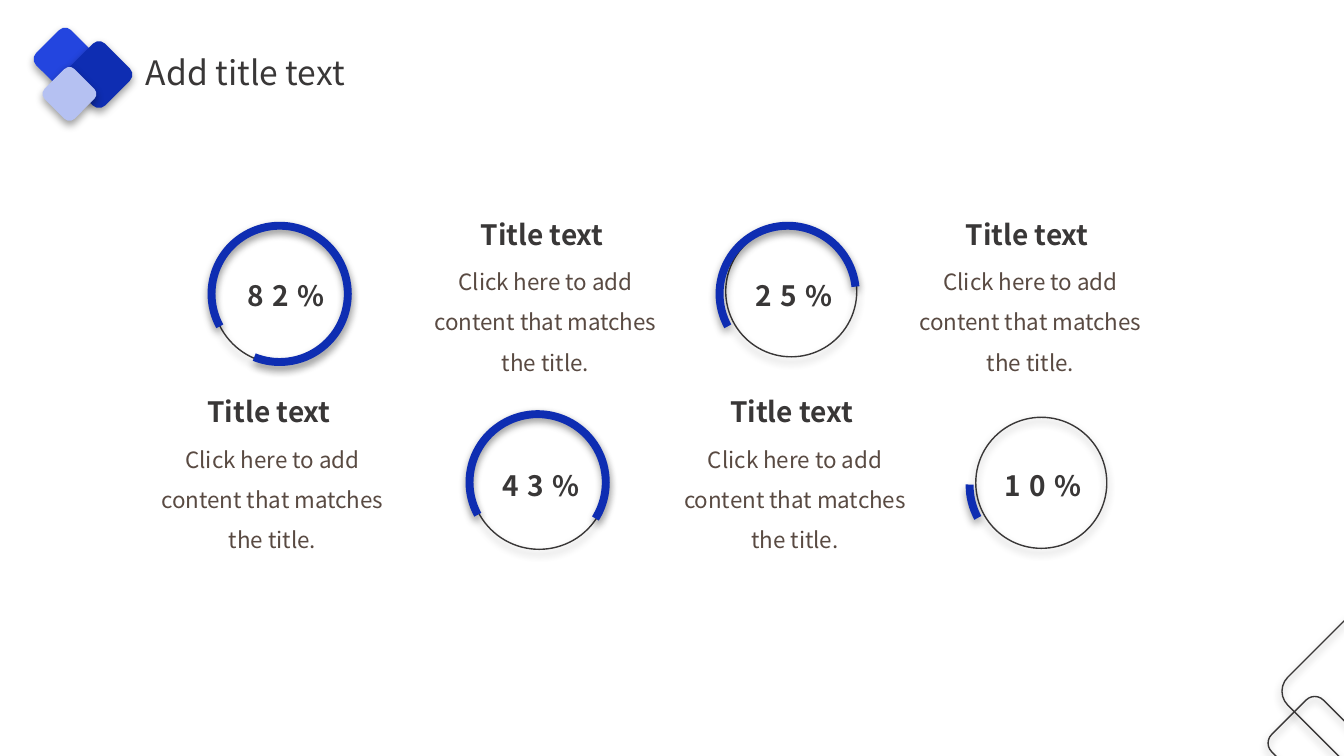
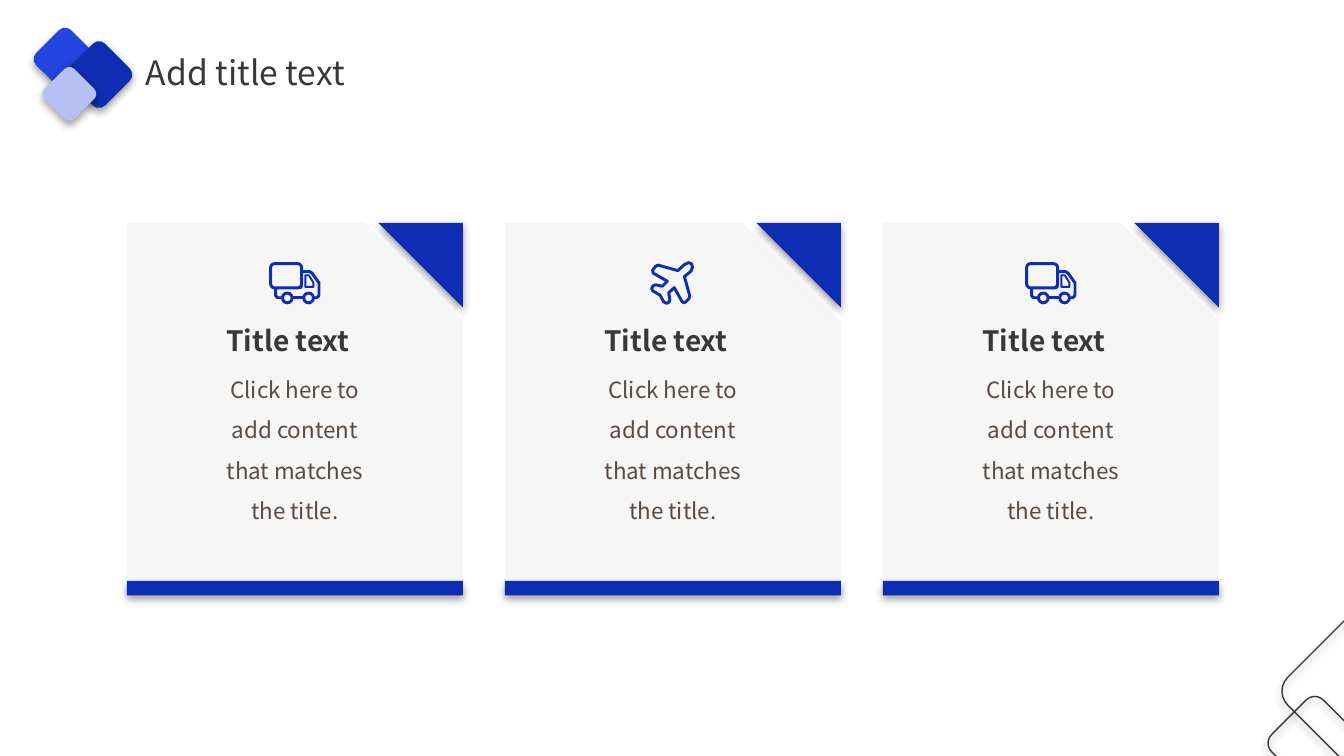
from dataclasses import dataclass

from lxml import etree
from pptx import Presentation
from pptx.dml.color import RGBColor
from pptx.enum.shapes import MSO_SHAPE as Preset
from pptx.enum.text import MSO_AUTO_SIZE as AutoSize, PP_ALIGN as Align
from pptx.oxml.ns import qn
from pptx.util import Pt


@dataclass(frozen=True)
class Theme:
    font: str = "Noto Sans CJK SC"
    blue: str = "0E2DB2"
    bright: str = "2345DF"
    pale: str = "B5C1F2"
    ink: str = "393737"
    brown: str = "594A42"
    panel: str = "F6F6F6"
    title_size: int = 24
    heading_size: int = 20
    body_size: int = 16
    outline: float = 1
    icon_stroke: float = 2.1


THEME = Theme()
HEADING = "Title text"
BODY = "Click here to add content that matches the title."


class Deck:
    """Holds the style and the current slide."""

    def __init__(self, theme):
        self.theme = theme
        self.prs = Presentation()
        self.prs.slide_width, self.prs.slide_height = Pt(960), Pt(540)
        self.shapes = None

    # Slide frame: title, badge and corner outlines
    def new_slide(self, title):
        t = self.theme
        self.shapes = self.prs.slides.add_slide(self.prs.slide_layouts[6]).shapes
        for left, top, side, color in ((28.8, 24.6, 35.3, t.bright),
                                       (52, 34.6, 37.4, t.blue),
                                       (34.5, 52, 30.2, t.pale)):
            self.shape(Preset.ROUNDED_RECTANGLE, left, top, side, side, color, rotation=45)
        self.text(title, 97.2, 33.8, 165.6, 36, t.title_size, t.ink)
        for left, top, side in ((913, 504.7, 52.2), (927.4, 451.4, 84.6)):
            self.shape(Preset.ROUNDED_RECTANGLE, left, top, side, side,
                       line=t.outline, color=t.ink, rotation=45)

    # Shapes
    def shape(self, preset, left, top, width, height, fill=None, line=0,
              color=None, rotation=0, adjust=(), shadow=True):
        item = self.shapes.add_shape(preset, Pt(left), Pt(top), Pt(width), Pt(height))
        item.rotation = rotation
        for index, value in enumerate(adjust):
            item.adjustments[index] = value
        self.paint(item, fill, line, color, shadow)

    def outline(self, points, left=0, top=0, fill=None, line=0, color=None,
                close=True, shadow=False):
        corners = [(Pt(left + x), Pt(top + y)) for x, y in points]
        builder = self.shapes.build_freeform(*corners[0], scale=1.0)
        builder.add_line_segments(corners[1:], close=close)
        self.paint(builder.convert_to_shape(), fill, line, color, shadow)

    def paint(self, item, fill, line, color, shadow):
        if fill:
            item.fill.solid()
            item.fill.fore_color.rgb = RGBColor.from_string(fill)
        else:
            item.fill.background()
        if line:
            item.line.width = Pt(line)
            item.line.color.rgb = RGBColor.from_string(color)
        else:
            item.line.fill.background()
        item.shadow.inherit = False
        if shadow:
            effects = item._element.spPr.find(qn("a:effectLst"))
            outer = etree.SubElement(effects, qn("a:outerShdw"), blurRad=str(Pt(6)),
                                     dist=str(Pt(3)), dir="5400000", algn="t",
                                     rotWithShape="0")
            black = etree.SubElement(outer, qn("a:srgbClr"), val="000000")
            etree.SubElement(black, qn("a:alpha"), val="39000")

    # Text
    def text(self, words, left, top, width, height, size, color, bold=False,
             wrap=False, align=Align.LEFT, leading=None, tracking=0):
        frame = self.shapes.add_textbox(Pt(left), Pt(top), Pt(width), Pt(height)).text_frame
        frame.word_wrap = wrap
        frame.auto_size = AutoSize.SHAPE_TO_FIT_TEXT
        para = frame.paragraphs[0]
        para.alignment, para.line_spacing = align, leading
        run = para.add_run()
        run.text = words
        font = para.font
        font.name, font.size, font.bold = self.theme.font, Pt(size), bold
        font.color.rgb = RGBColor.from_string(color)
        if tracking:
            run._r.get_or_add_rPr().set("spc", str(tracking * 100))

    def caption(self, left, top, body_left, body_top, body_width, body_height):
        t = self.theme
        self.text(HEADING, left, top, 105.1, 31.7, t.heading_size, t.ink, bold=True)
        self.text(BODY, body_left, body_top, body_width, body_height, t.body_size,
                  t.brown, wrap=True, align=Align.CENTER, leading=1.5)

    # Progress ring: thin circle, number and thick arc
    def ring(self, percent, circle, arc, label, end_angle):
        t = self.theme
        left, top, size = circle
        self.shape(Preset.OVAL, left, top, size, size, line=t.outline, color=t.ink)
        self.text(percent, *label, 76.3, 31.7, t.heading_size, t.ink, bold=True, tracking=6)
        angles = [degrees * 0.6 for degrees in (181.54, end_angle)]
        self.shape(Preset.BLOCK_ARC, *arc, 103, 103, t.blue, rotation=330,
                   adjust=(*angles, 0.055))

    # Icons, drawn from the card's top left corner
    def stroke(self, points, left, top, close=False, width=None):
        self.outline(points, left, top, line=width or self.theme.icon_stroke,
                     color=self.theme.blue, close=close)

    def truck(self, left, top):
        t = self.theme
        pen = dict(line=t.icon_stroke, color=t.blue, shadow=False)
        self.shape(Preset.ROUNDED_RECTANGLE, left + 102.6, top + 29.1, 22.2, 17.4, **pen)
        for wheel_x in (111, 126.2):
            self.shape(Preset.OVAL, left + wheel_x, top + 50.1, 7, 7, **pen)
        for part in (
            [(124.8, 34.8), (130.4, 34.8), (132.2, 35.9), (137.2, 42.9),
             (137.2, 51.2), (136.7, 52.6), (135.3, 53.5), (133.2, 53.5)],
            [(106.2, 46.5), (106.2, 51.8), (107, 53.1), (108.2, 53.5), (111, 53.5)],
            [(118, 53.5), (126.2, 53.5)],
            [(124.8, 45), (124.2, 46), (123, 46.5)],
        ):
            self.stroke(part, left, top)
        window = [(127.4, 37.4), (129.9, 37.4), (133.2, 42.8), (133.2, 45.7), (127.4, 45.7)]
        self.stroke(window, left, top, close=True, width=1.4)

    def plane(self, left, top):
        self.stroke([
            (132.9, 34.5), (128.2, 38.4), (132.1, 52.4), (131.4, 54.2), (129.2, 56.4),
            (127.8, 57.1), (126.4, 56), (121, 46.3), (117, 49.9), (117.8, 54.6),
            (117.4, 56.4), (115.6, 57.5), (113.4, 56.4), (110.9, 51.7), (105.5, 48.5),
            (104.8, 46.7), (105.9, 44.9), (107.7, 44.2), (112.4, 45.3), (116, 41.7),
            (105.9, 35.9), (105.5, 33.8), (107.7, 30.9), (109.5, 30.2), (123.5, 34.1),
            (128.2, 29.8), (131.1, 28.4), (133.2, 29.1), (134, 31.6),
        ], left, top, close=True)

    # Card: clipped panel, base bar, folded corner, icon and caption
    def card(self, left, top, icon):
        t, width, fold = self.theme, 240, 60.5
        self.shape(Preset.SNIP_1_RECTANGLE, left, top, width, 266, t.panel,
                   adjust=(0.294,), shadow=False)
        self.shape(Preset.RECTANGLE, left, top + 255.8, width, 10.3, t.blue)
        self.outline([(width, 0), (width - fold, 0), (width, fold)], left, top,
                     fill=t.blue, shadow=True)
        icon(left, top)
        self.caption(left + 64, top + 68.4, left + 54, top + 96.4, 131.8, 123.8)


def main():
    deck = Deck(THEME)

    # Slide 1: four rings with captions
    deck.new_slide("Add title text")
    for ring in (
        ("82%", (151.9, 162, 97.9), (148.3, 158.4), (169.9, 195.1), 141.91),
        ("43%", (336.2, 294.5, 97.9), (332.6, 293), (352.1, 331.2), 62.08),
        ("25%", (518.4, 161.3, 93.6), (511.2, 158.4), (532.8, 195.1), 23.91),
        ("10%", (697, 298.1, 93.6), (689.8, 295.2), (710.6, 331.2), 210.72 + 120 - 120),
    ):
        deck.ring(*ring)
    for left, top in ((141.1, 278.6), (514.4, 278.6), (336.2, 151.9), (682.6, 151.9)):
        deck.caption(left, top, left - 40.1, top + 26.6, 187.2, 94.3)

    # Slide 2: three cards
    deck.new_slide("Add title text")
    for column, icon in enumerate((deck.truck, deck.plane, deck.truck)):
        deck.card(90.7 + 270 * column, 159.2, icon)

    deck.prs.save("out.pptx")


if __name__ == "__main__":
    main()
